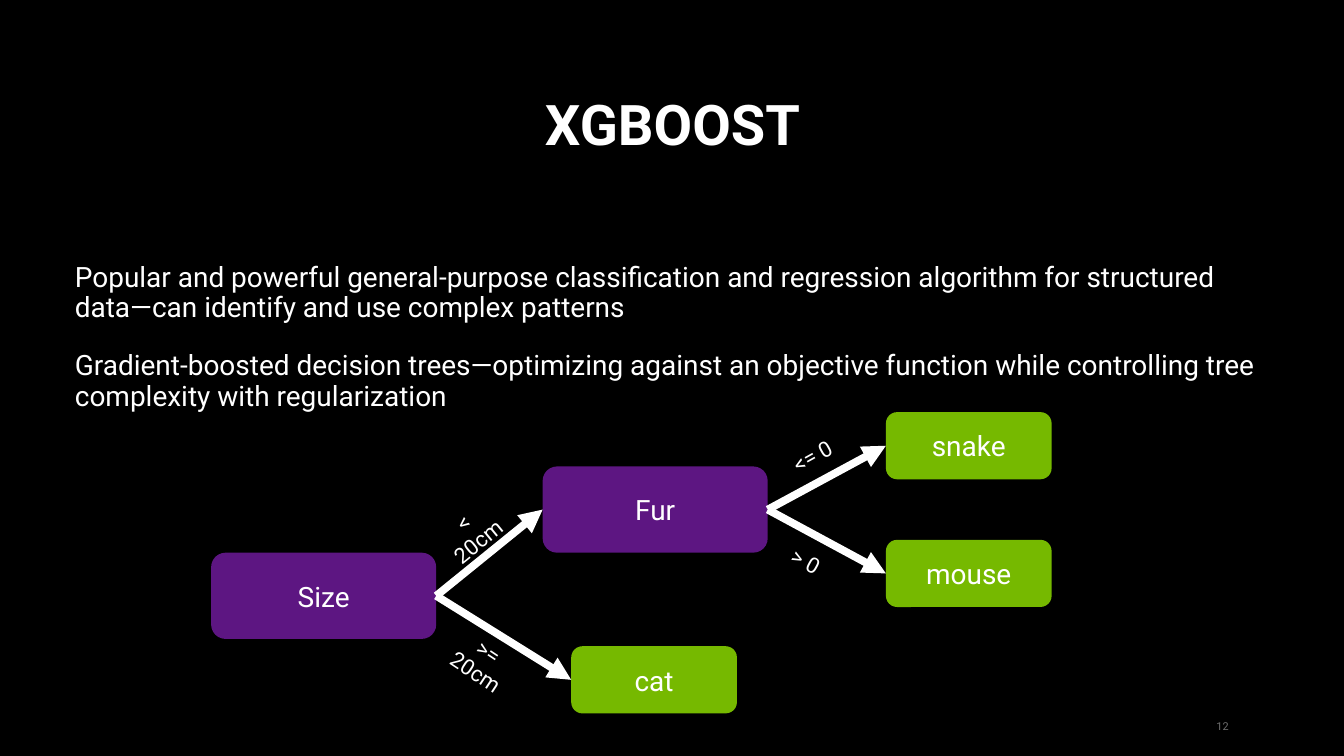
from lxml import etree
from pptx import Presentation, util as u
from pptx.dml.color import RGBColor
from pptx.enum import shapes, text
from pptx.oxml.ns import qn

COLORS = {"black": "000000", "white": "FFFFFF", "gray": "6E6E6E",
          "purple": "5D1682", "green": "76B900"}
FONT = "Roboto"
COLUMNS, ROWS = 12, 6.75  # square grid cells across and down the slide
CELL = u.Inches(1)

TITLE = "XGBOOST"
BODY = [
    "Popular and powerful general-purpose classification and regression "
    "algorithm for structured data—can identify and use complex patterns",
    "Gradient-boosted decision trees—optimizing against an objective function "
    "while controlling tree complexity with regularization",
]
PAGE_NUMBER = "12"

KINDS = {"split": ("purple", 2.01, 0.77), "leaf": ("green", 1.48, 0.6)}
# name: kind, centre column, centre row
NODES = {
    "Size": ("split", 2.89, 5.32),
    "Fur": ("split", 5.85, 4.55),
    "snake": ("leaf", 8.65, 3.98),
    "mouse": ("leaf", 8.65, 5.12),
    "cat": ("leaf", 5.84, 6.07),
}
# parent, child, label, label centre, label width, rotation, wraps
BRANCHES = [
    ("Size", "cat", ">= 20cm", (4.3, 5.92), 0.85, 33.4, True),
    ("Size", "Fur", "< 20cm", (4.21, 4.76), 0.8, -39.2, True),
    ("Fur", "mouse", "> 0", (7.19, 5.02), 0.47, 28.8, False),
    ("Fur", "snake", "<= 0", (7.26, 4.08), 0.57, -29.3, False),
]
LABEL_HEIGHT = 0.31
LEFT_SIDE, RIGHT_SIDE = 1, 3  # connection sites of a rounded rectangle


def color(name):
    return RGBColor.from_string(COLORS[name])


def cells(*counts):
    return [round(count * CELL) for count in counts]


def centered(x, y, width, height):
    return cells(x - width / 2, y - height / 2, width, height)


def write(shape, *paragraphs, size=18, fill="white", bold=False, wrap=True,
          align=text.PP_ALIGN.CENTER, anchor=text.MSO_ANCHOR.MIDDLE,
          line_spacing=None, gap=None, inset=None):
    """Fill a shape with formatted paragraphs."""
    frame = shape.text_frame
    frame.word_wrap = wrap
    frame.vertical_anchor = anchor
    if inset is not None:
        frame.margin_left = frame.margin_right = inset
        frame.margin_top = frame.margin_bottom = inset
    for index, content in enumerate(paragraphs):
        paragraph = frame.add_paragraph() if index else frame.paragraphs[0]
        paragraph.alignment = align
        paragraph.line_spacing = line_spacing
        paragraph.space_before = paragraph.space_after = gap
        run = paragraph.add_run()
        run.text = content
        run.font.name, run.font.size, run.font.bold = FONT, u.Pt(size), bold
        run.font.color.rgb = color(fill)


def add_node(slide, name, kind, x, y):
    fill, width, height = KINDS[kind]
    node = slide.shapes.add_shape(shapes.MSO_SHAPE.ROUNDED_RECTANGLE,
                                  *centered(x, y, width, height))
    node.shadow.inherit = False
    node.fill.solid()
    node.fill.fore_color.rgb = color(fill)
    node.line.fill.background()
    write(node, name)
    return node


def add_arrow(slide, parent, child):
    arrow = slide.shapes.add_connector(shapes.MSO_CONNECTOR.STRAIGHT, 0, 0, 0, 0)
    arrow.begin_connect(parent, RIGHT_SIDE)
    arrow.end_connect(child, LEFT_SIDE)
    arrow.line.color.rgb = color("white")
    arrow.line.width = u.Pt(5)
    etree.SubElement(arrow.line._get_or_add_ln(), qn("a:tailEnd"), type="triangle")
    etree.SubElement(arrow._element.spPr, qn("a:effectLst"))


def main():
    presentation = Presentation()
    presentation.slide_width, presentation.slide_height = cells(COLUMNS, ROWS)
    slide = presentation.slides.add_slide(presentation.slide_layouts[6])
    slide.background.fill.solid()
    slide.background.fill.fore_color.rgb = color("black")
    add_box = slide.shapes.add_textbox

    write(add_box(*cells(10.66, 6.41, 0.31, 0.15)), PAGE_NUMBER, size=7,
          fill="gray", align=text.PP_ALIGN.RIGHT, inset=0)
    write(add_box(*cells(0.55, 0.81, 10.91, 0.65)), TITLE, size=36, bold=True,
          anchor=text.MSO_ANCHOR.BOTTOM, line_spacing=0.9)
    write(add_box(*cells(0.57, 2.3, 10.88, 4.07)), *BODY,
          align=text.PP_ALIGN.LEFT, anchor=text.MSO_ANCHOR.TOP,
          line_spacing=0.9, gap=u.Pt(9))

    nodes = {name: add_node(slide, name, *place) for name, place in NODES.items()}
    for parent, child, label, center, width, rotation, wrap in BRANCHES:
        add_arrow(slide, nodes[parent], nodes[child])
        box = add_box(*centered(*center, width, LABEL_HEIGHT))
        box.rotation = rotation
        write(box, label, size=14, wrap=wrap, line_spacing=0.9)

    presentation.save("out.pptx")


if __name__ == "__main__":
    main()
